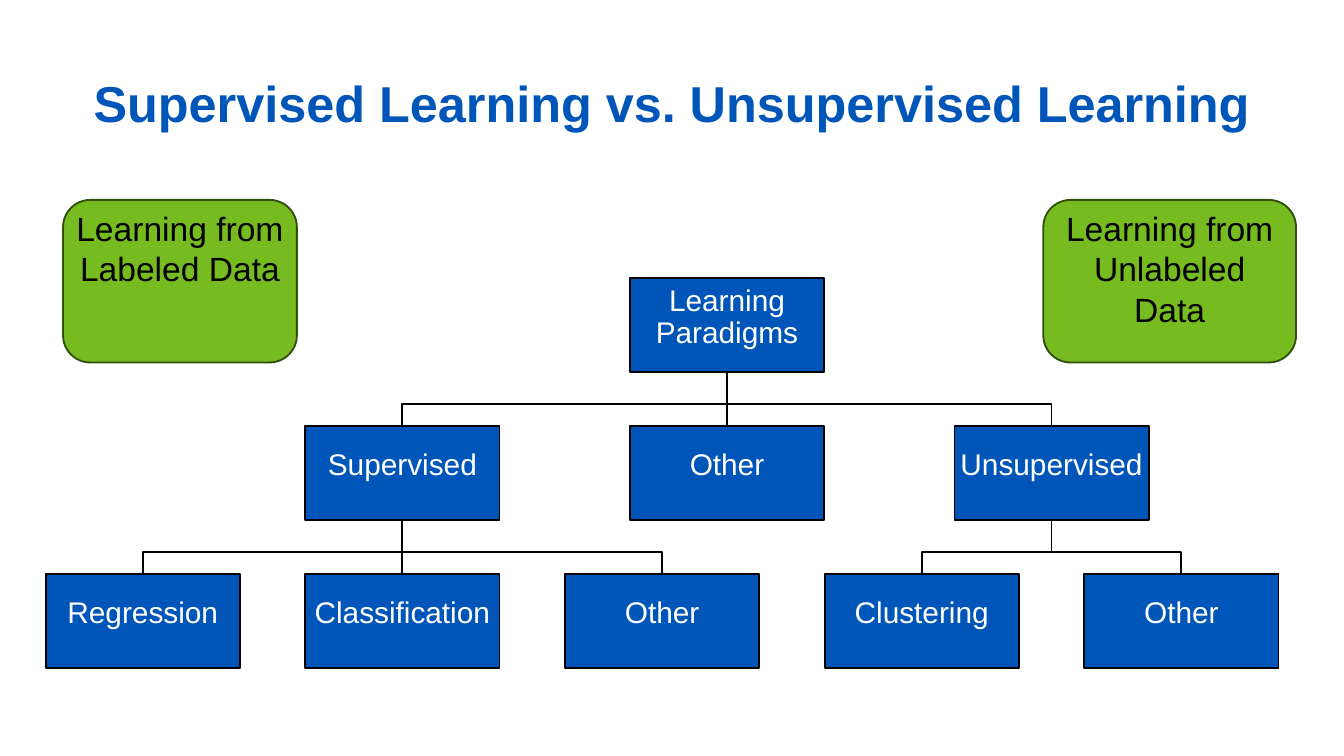
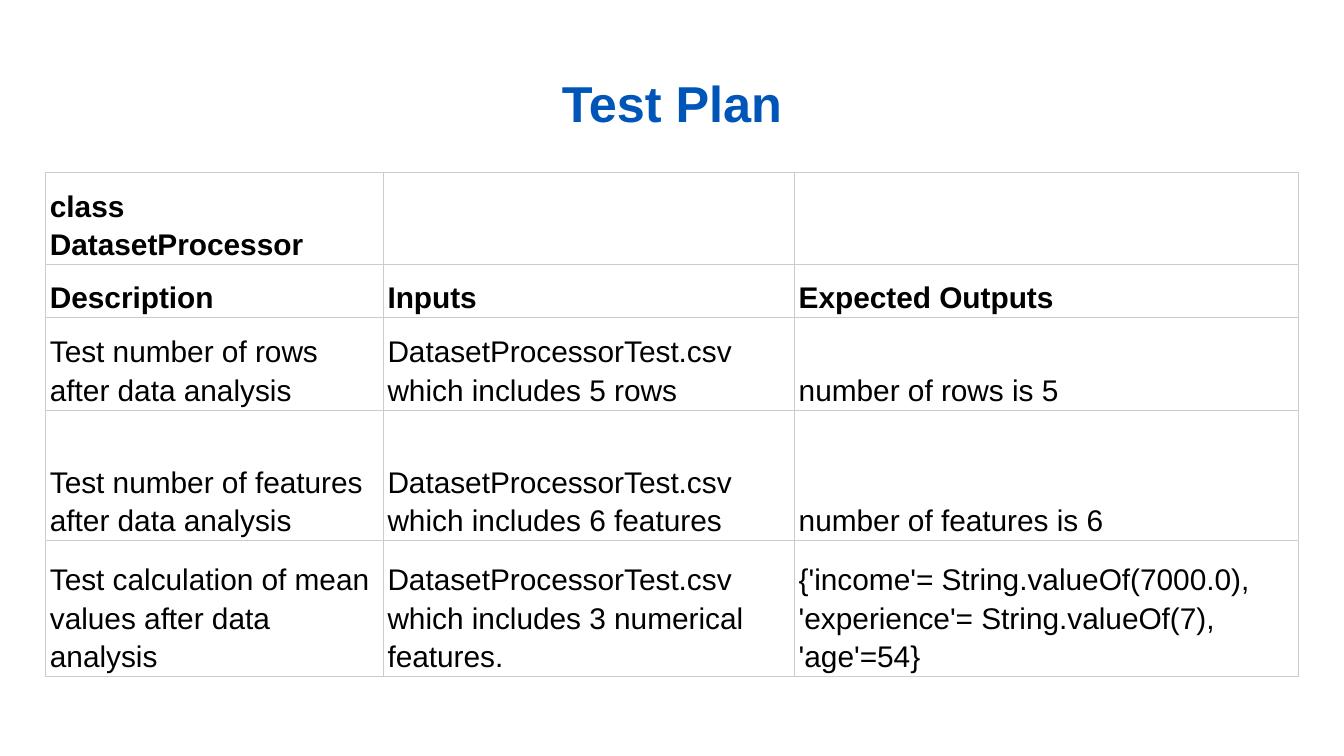
from lxml.etree import SubElement
from pptx import Presentation
from pptx.dml.color import RGBColor
from pptx.enum.shapes import MSO_CONNECTOR, MSO_SHAPE
from pptx.enum.text import MSO_ANCHOR, PP_ALIGN
from pptx.oxml.ns import qn
from pptx.util import Pt

FONT = "Arial"
BLUE, GREEN, DARK_GREEN = "0055B8", "76BC20", "314F0D"
BLACK, WHITE, GREY = "000000", "FFFFFF", "CCCCCC"

MARGIN = 24.5
NODE_WIDTH, NODE_HEIGHT = 104, 50.4
TREE_TOP = 149
COLUMN_STEP, LEVEL_STEP = 139.1, 79.2
BEND = 0.6  # share of the gap between levels above the horizontal stretch

# name: (text, column, level, parent); columns count leaf positions
NODES = {
    "root": ("Learning Paradigms", 2.25, 0, None),
    "supervised": ("Supervised", 1, 1, "root"),
    "other paradigm": ("Other", 2.25, 1, "root"),
    "unsupervised": ("Unsupervised", 3.5, 1, "root"),
    "regression": ("Regression", 0, 2, "supervised"),
    "classification": ("Classification", 1, 2, "supervised"),
    "other supervised": ("Other", 2, 2, "supervised"),
    "clustering": ("Clustering", 3, 2, "unsupervised"),
    "other unsupervised": ("Other", 4, 2, "unsupervised"),
}

COLUMN_WIDTHS = [180.9, 220.3, 270]
ROW_HEIGHTS = [49.5, 28.5, 49.5, 69.8, 72.8]
HEADER_ROWS = 2
TEST_PLAN = [
    ["class DatasetProcessor", "", ""],
    ["Description", "Inputs", "Expected Outputs"],
    ["Test number of rows after data analysis",
     "DatasetProcessorTest.csv which includes 5 rows",
     "number of rows is 5"],
    ["Test number of features after data analysis",
     "DatasetProcessorTest.csv which includes 6 features",
     "number of features is 6"],
    ["Test calculation of mean values after data analysis",
     "DatasetProcessorTest.csv which includes 3 numerical features.",
     "{'income'= String.valueOf(7000.0), 'experience'= String.valueOf(7), 'age'=54}"],
]


def color(hex_code):
    return RGBColor.from_string(hex_code)


def set_margins(target, left, top, right, bottom):
    """Set the insets of a text frame or a table cell."""
    target.margin_left, target.margin_top = Pt(left), Pt(top)
    target.margin_right, target.margin_bottom = Pt(right), Pt(bottom)


def write(frame, text, size, ink, bold=False, align=PP_ALIGN.CENTER, spacing=1.0):
    frame.text = text
    frame.word_wrap = True
    para = frame.paragraphs[0]
    para.alignment = align
    para.line_spacing = spacing
    for span in para.runs:
        span.font.name = FONT
        span.font.size = Pt(size)
        span.font.bold = bold
        span.font.color.rgb = color(ink)


def add_page(deck, title):
    page = deck.slides.add_slide(deck.slide_layouts[6])
    box = page.shapes.add_textbox(Pt(MARGIN), Pt(35.3), Pt(671), Pt(45.4))
    set_margins(box.text_frame, 7.2, 7.2, 7.2, 7.2)
    write(box.text_frame, title, 27, BLUE, bold=True, spacing=0.9)
    return page


def add_box(page, kind, left, top, width, height, fill, line):
    box = page.shapes.add_shape(kind, Pt(left), Pt(top), Pt(width), Pt(height))
    box.shadow.inherit = False
    box.fill.solid()
    box.fill.fore_color.rgb = color(fill)
    box.line.color.rgb = color(line)
    box.line.width = Pt(1)
    return box


def add_node(page, text, column, level):
    box = add_box(page, MSO_SHAPE.RECTANGLE, MARGIN + column * COLUMN_STEP,
                  TREE_TOP + level * LEVEL_STEP, NODE_WIDTH, NODE_HEIGHT, BLUE, BLACK)
    box.text_frame.vertical_anchor = MSO_ANCHOR.MIDDLE
    set_margins(box.text_frame, 0.8, 0.8, 0.8, 8.6)
    write(box.text_frame, text, 16, WHITE, spacing=0.9)
    return box


def add_note(page, text, left, width):
    box = add_box(page, MSO_SHAPE.ROUNDED_RECTANGLE, left, 107.1, width, 87.1,
                  GREEN, DARK_GREEN)
    box.adjustments[0] = 0.167
    box.text_frame.vertical_anchor = MSO_ANCHOR.TOP
    set_margins(box.text_frame, 2.5, 0, 2.5, 0)
    write(box.text_frame, text, 18, BLACK)


def add_link(page, parent, child):
    """Join a parent's bottom to a child's top, bending if they are not aligned."""
    start_x = parent.left + parent.width // 2
    end_x = child.left + child.width // 2
    start_y, end_y = parent.top + parent.height, child.top
    if start_x == end_x:
        link = page.shapes.add_connector(MSO_CONNECTOR.STRAIGHT,
                                         start_x, start_y, end_x, end_y)
        link.begin_connect(parent, 2)
        link.end_connect(child, 0)
        SubElement(link._element.spPr, qn("a:effectLst"))
    else:
        bend_y = start_y + int(BEND * (end_y - start_y))
        outline = page.shapes.build_freeform(start_x, start_y)
        outline.add_line_segments(
            [(start_x, bend_y), (end_x, bend_y), (end_x, end_y)], close=False)
        link = outline.convert_to_shape()
        link.shadow.inherit = False
        link.fill.background()
    link.line.color.rgb = color(BLACK)
    link.line.width = Pt(1)


def add_tree(page):
    boxes = {name: add_node(page, text, column, level)
             for name, (text, column, level, _) in NODES.items()}
    for name, (_, _, _, parent) in NODES.items():
        if parent:
            add_link(page, boxes[parent], boxes[name])


def set_borders(cell, hex_code, width):
    properties = cell._tc.get_or_add_tcPr()
    for side in ("lnL", "lnR", "lnT", "lnB"):
        border = SubElement(properties, qn(f"a:{side}"), w=str(Pt(width)))
        fill = SubElement(border, qn("a:solidFill"))
        SubElement(fill, qn("a:srgbClr"), val=hex_code)


def add_test_table(page):
    table = page.shapes.add_table(
        len(ROW_HEIGHTS), len(COLUMN_WIDTHS), Pt(MARGIN), Pt(92.2),
        Pt(sum(COLUMN_WIDTHS)), Pt(sum(ROW_HEIGHTS))).table
    table.first_row = table.horz_banding = False
    for column, width in zip(table.columns, COLUMN_WIDTHS):
        column.width = Pt(width)
    for index, (row, height) in enumerate(zip(table.rows, ROW_HEIGHTS)):
        row.height = Pt(height)
        for cell, text in zip(row.cells, TEST_PLAN[index]):
            set_borders(cell, GREY, 0.5)
            cell.fill.background()
            cell.vertical_anchor = MSO_ANCHOR.BOTTOM
            set_margins(cell, 2.25, 1.5, 2.25, 1.5)
            write(cell.text_frame, text, 16, BLACK, bold=index < HEADER_ROWS,
                  align=PP_ALIGN.LEFT, spacing=1.15)


def main():
    deck = Presentation()
    deck.slide_width, deck.slide_height = Pt(720), Pt(405)

    page = add_page(deck, "Supervised Learning vs. Unsupervised Learning")
    add_tree(page)
    add_note(page, "Learning from Labeled Data", 33.8, 125.3)
    add_note(page, "Learning from Unlabeled Data", 558.9, 135.4)

    page = add_page(deck, "Test Plan")
    add_test_table(page)

    deck.save("out.pptx")


if __name__ == "__main__":
    main()
